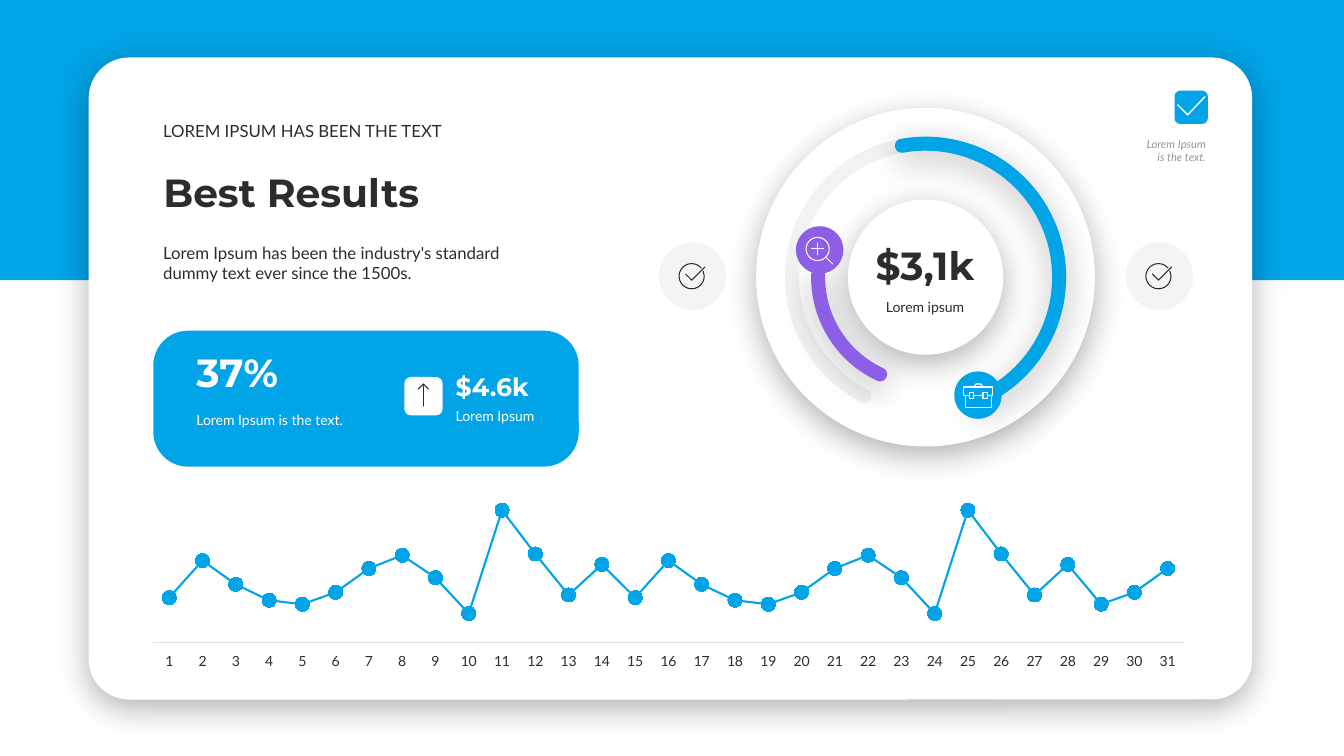
from lxml.etree import SubElement
from pptx import Presentation
from pptx.chart.data import CategoryChartData
from pptx.dml.color import RGBColor
from pptx.enum.chart import XL_CHART_TYPE, XL_MARKER_STYLE, XL_TICK_LABEL_POSITION, XL_TICK_MARK
from pptx.enum.shapes import MSO_SHAPE
from pptx.enum.text import MSO_ANCHOR, MSO_AUTO_SIZE, PP_ALIGN
from pptx.oxml import parse_xml
from pptx.oxml.ns import nsdecls, qn
from pptx.util import Inches, Pt

COLORS = {
    "blue": "01A4E7", "violet": "8D5FE6", "white": "FFFFFF", "ink": "2C2C2C",
    "muted": "969696", "axis": "DFDFDF", "black": "000000",
}
BODY, DISPLAY = "Lato", "Montserrat"
GAUGE = (9.18, 2.75)
DAILY = [34, 62, 44, 32, 29, 38, 56, 66, 49, 22, 100, 67, 36, 59, 34, 62,
         44, 32, 29, 38, 56, 66, 49, 22, 100, 67, 36, 59, 29, 38, 56]


def rgb(name):
    """Return the named colour."""
    return RGBColor.from_string(COLORS[name])


class Dashboard:
    """Draws styled elements on the current page."""

    def __init__(self, page):
        """Keep the page that receives the elements."""
        self.page = page
        self.shapes = page.shapes

    def finish(self, shape, fill=None, line=None, width=0.75, alpha=None, shadow=False):
        """Apply fill, line, opacity and shadow to a shape."""
        properties = shape.element.spPr
        if fill:
            shape.fill.solid()
            shape.fill.fore_color.rgb = rgb(fill)
        else:
            shape.fill.background()
        if line:
            shape.line.color.rgb = rgb(line)
            shape.line.width = Pt(width)
            properties.find(qn("a:ln")).set("cap", "rnd")
        else:
            shape.line.fill.background()
        if alpha:
            for color in properties.iter(qn("a:srgbClr")):
                SubElement(color, qn("a:alpha"), val=str(alpha * 1000))
        shape.shadow.inherit = False
        if shadow:
            outer = SubElement(properties.find(qn("a:effectLst")), qn("a:outerShdw"),
                               blurRad=str(Pt(23)), dist=str(Pt(6)), dir="5400000",
                               algn="t", rotWithShape="0")
            color = SubElement(outer, qn("a:srgbClr"), val=COLORS["black"])
            SubElement(color, qn("a:alpha"), val="30000")
        return shape

    def block(self, kind, at, corner=None, **style):
        """Add a rectangle with square or round corners."""
        shape = self.shapes.add_shape(kind, *map(Inches, at))
        if corner:
            shape.adjustments[0] = corner
        return self.finish(shape, **style)

    def circle(self, center, size, angles=None, **style):
        """Add a circle, or an arc between two angles, around a center."""
        kind = MSO_SHAPE.ARC if angles else MSO_SHAPE.OVAL
        left, top = (value - size / 2 for value in center)
        shape = self.shapes.add_shape(kind, *map(Inches, (left, top, size, size)))
        for index, angle in enumerate(angles or ()):
            shape.adjustments[index] = angle * 0.6
        return self.finish(shape, **style)

    def strokes(self, center, lines, color, width=0.75):
        """Draw thin polylines given in hundredths of an inch from a center."""
        placed = [[tuple(Inches(c + value / 100) for c, value in zip(center, point))
                   for point in points] for points in lines]
        builder = self.shapes.build_freeform(*placed[0][0])
        for index, points in enumerate(placed):
            if index:
                builder.move_to(*points[0])
            builder.add_line_segments(points[1:], close=False)
        return self.finish(builder.convert_to_shape(), line=color, width=width)

    def letter(self, box, words, size, color, font=BODY, bold=False, italic=False,
               align=PP_ALIGN.LEFT, anchor=MSO_ANCHOR.TOP, inset=0.1, after=0):
        """Fill a box with one formatted run."""
        frame = box.text_frame
        frame.word_wrap = True
        frame.auto_size = MSO_AUTO_SIZE.SHAPE_TO_FIT_TEXT
        frame.vertical_anchor = anchor
        frame.margin_left = frame.margin_right = Inches(inset)
        frame.margin_top = frame.margin_bottom = Inches(0.05)
        para = frame.paragraphs[0]
        para.alignment = align
        para.space_after = Pt(after)
        span = para.add_run()
        span.text = words
        span.font.name, span.font.size = font, Pt(size)
        span.font.bold, span.font.italic = bold, italic
        span.font.color.rgb = rgb(color)

    def text(self, at, words, size, color, **style):
        """Add a text box."""
        self.letter(self.shapes.add_textbox(*map(Inches, at)), words, size, color, **style)

    def figure(self, at, words, size, color, **style):
        """Add a bold key figure."""
        self.text(at, words, size, color, font=DISPLAY, bold=True,
                  anchor=MSO_ANCHOR.BOTTOM, **style)

    def title(self, at, words):
        """Place the title placeholder above the card."""
        box = self.shapes.title
        box.left, box.top, box.width, box.height = map(Inches, at)
        self.letter(box, words, 28, "ink", font=DISPLAY, bold=True, anchor=MSO_ANCHOR.BOTTOM)
        box.element.getparent().append(box.element)

    def check_badge(self, center):
        """Add a pale disc with a ticked ring."""
        self.circle(center, 0.67, fill="ink", alpha=5)
        ring = (center[0] - 0.01, center[1])
        self.circle(ring, 0.25, angles=(336, 319), line="ink")
        self.strokes(ring, [[(-6, -2), (0, 4), (13, -9)]], "ink")

    def line_chart(self, at, values):
        """Add the daily line chart."""
        data = CategoryChartData()
        data.categories = [str(day) for day in range(1, len(values) + 1)]
        data.add_series("Series 1", values)
        chart = self.shapes.add_chart(XL_CHART_TYPE.LINE_MARKERS_STACKED,
                                      *map(Inches, at), data).chart
        chart.has_legend = chart.has_title = False
        chart.font.name, chart.font.size = BODY, Pt(10)
        chart.font.color.rgb = rgb("ink")
        days, scale = chart.category_axis, chart.value_axis
        days.major_tick_mark = days.minor_tick_mark = XL_TICK_MARK.NONE
        days.tick_label_position = XL_TICK_LABEL_POSITION.LOW
        days.format.line.color.rgb = rgb("axis")
        days.format.line.width = Pt(0.75)
        scale.visible = scale.has_major_gridlines = False
        scale.minimum_scale, scale.maximum_scale = 0, 120
        plot = chart.plots[0]
        plot.vary_by_categories = False
        series = plot.series[0]
        series.smooth = False
        series.format.line.color.rgb = rgb("blue")
        series.format.line.width = Pt(1.5)
        series.marker.style, series.marker.size = XL_MARKER_STYLE.CIRCLE, 10
        series.marker.format.fill.solid()
        series.marker.format.fill.fore_color.rgb = rgb("blue")
        series.marker.format.line.color.rgb = rgb("blue")
        area = chart.element.find(".//" + qn("c:plotArea"))
        for layout in area.findall(qn("c:layout")):
            area.remove(layout)
        area.insert(0, parse_xml(
            f'<c:layout {nsdecls("c")}><c:manualLayout><c:layoutTarget val="inner"/>'
            '<c:xMode val="edge"/><c:yMode val="edge"/><c:x val="0.02"/><c:y val="0"/>'
            '<c:w val="0.96"/><c:h val="0.86"/></c:manualLayout></c:layout>'))


def main():
    """Build and save the slide."""
    deck = Presentation()
    deck.slide_width, deck.slide_height = Inches(13.33), Inches(7.5)
    board = Dashboard(deck.slides.add_slide(deck.slide_layouts[5]))
    rounded = MSO_SHAPE.ROUNDED_RECTANGLE

    board.block(MSO_SHAPE.RECTANGLE, (0, 0, 13.33, 2.78), fill="blue")
    board.block(rounded, (0.88, 0.57, 11.54, 6.37), 0.063, fill="white", shadow=True)

    board.circle(GAUGE, 3.36, fill="white", shadow=True)
    board.circle(GAUGE, 2.65, angles=(117.1, 66.1), line="ink", width=10, alpha=5)
    board.circle(GAUGE, 1.54, fill="white", shadow=True)
    board.circle(GAUGE, 2.65, angles=(259.8, 65.7), line="blue", width=10, shadow=True)
    board.circle(GAUGE, 2.13, angles=(115, 181.3), line="violet", width=10, shadow=True)
    board.text((8.36, 2.91, 1.63, 0.27), "Lorem ipsum", 10, "ink",
               align=PP_ALIGN.CENTER, after=6)
    board.figure((8.36, 2.34, 1.63, 0.57), "$3,1k", 28, "ink",
                 align=PP_ALIGN.CENTER, inset=0.08, after=6)

    case = (9.7, 3.92)
    board.circle(case, 0.47, fill="blue")
    clasps = [[(x, -3), (x + 4, -3), (x + 4, 3), (x, 3), (x, -3)] for x in (-8, 5)]
    board.strokes(case, [
        [(-14, -8), (14, -8), (14, 0), (9, 0)], [(5, 0), (-4, 0)],
        [(-8, 0), (-14, 0), (-14, -8)],
        [(-12, 0), (-12, 12), (13, 12), (13, 0)],
        [(-4, -8), (-2, -11), (3, -11), (5, -8)], *clasps], "white")

    lens = (8.11, 2.47)
    board.circle((8.13, 2.48), 0.47, fill="violet")
    board.circle(lens, 0.23, line="white")
    board.strokes(lens, [[(-6, 0), (6, 0)], [(0, -6), (0, 6)], [(8, 8), (15, 15)]], "white")

    for x in (6.87, 11.5):
        board.check_badge((x, 2.74))
    board.block(rounded, (11.65, 0.9, 0.33, 0.33), fill="blue")
    board.strokes((11.78, 1.04), [[(-10, 0), (0, 10), (17, -8)]], "white", 1)
    board.text((11.24, 1.31, 0.82, 0.37), "Lorem Ipsum is the text.", 8, "muted",
               italic=True, align=PP_ALIGN.RIGHT)

    board.text((1.52, 1.15, 3.68, 0.3), "LOREM IPSUM HAS BEEN THE TEXT", 12, "ink",
               anchor=MSO_ANCHOR.BOTTOM)
    board.title((1.52, 1.62, 3.68, 0.57), "Best Results")
    board.text((1.52, 2.36, 3.68, 0.5),
               "Lorem Ipsum has been the industry's standard dummy text ever since the 1500s.",
               12, "ink")

    board.block(rounded, (1.52, 3.28, 4.22, 1.35), 0.257, fill="blue")
    board.figure((1.85, 3.4, 1.88, 0.57), "37%", 28, "white")
    board.text((1.85, 4.03, 1.84, 0.27), "Lorem Ipsum is the text.", 10, "white")
    board.block(rounded, (4.01, 3.74, 0.38, 0.38), fill="white")
    board.strokes((4.2, 3.92), [[(0, 11), (0, -11)], [(-5, -6), (0, -11), (5, -6)]], "ink")
    board.figure((4.52, 3.63, 1.04, 0.4), "$4.6k", 18, "white", inset=0)
    board.text((4.52, 3.99, 1.04, 0.27), "Lorem Ipsum", 10, "white", inset=0)

    board.line_chart((1.3, 4.8, 10.66, 1.84), DAILY)
    deck.save("out.pptx")


if __name__ == "__main__":
    main()
